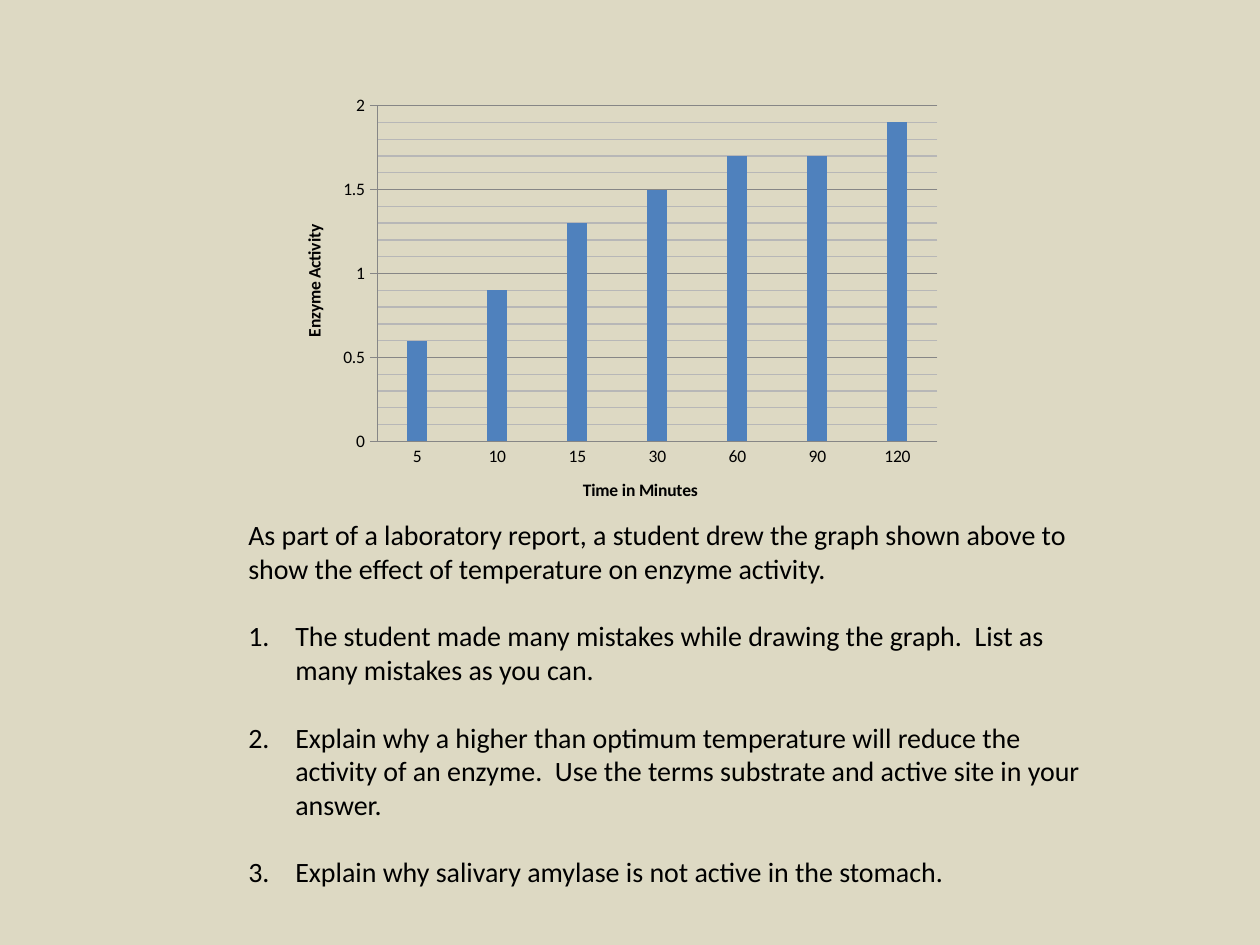
from lxml import etree
from pptx import Presentation
from pptx.chart.data import CategoryChartData
from pptx.dml.color import RGBColor
from pptx.enum.chart import XL_CHART_TYPE, XL_TICK_MARK
from pptx.enum.text import MSO_ANCHOR, MSO_AUTO_SIZE
from pptx.oxml.ns import qn
from pptx.util import Emu, Pt

COLUMNS = XL_CHART_TYPE.COLUMN_CLUSTERED
TICK_NONE, TICK_CROSS = XL_TICK_MARK.NONE, XL_TICK_MARK.CROSS
MIDDLE = MSO_ANCHOR.MIDDLE
GROW = MSO_AUTO_SIZE.SHAPE_TO_FIT_TEXT

FONT = "Calibri"
BACKGROUND, BLACK, BAR = "DDD9C3", "000000", "4F81BD"
AXIS_GREY, MINOR_GREY = "868686", "B7B7B7"

MINUTES = ["5", "10", "15", "30", "60", "90", "120"]
ACTIVITY = [0.6, 0.9, 1.3, 1.5, 1.7, 1.7, 1.9]
INTRO = ("As part of a laboratory report, a student drew the graph shown above "
         "to show the effect of temperature on enzyme activity.")
QUESTIONS = [
    "The student made many mistakes while drawing the graph.  "
    "List as many mistakes as you can.",
    "Explain why a higher than optimum temperature will reduce the activity of "
    "an enzyme.  Use the terms substrate and active site in your answer.",
    "Explain why salivary amylase is not active in the stomach.",
]


def px(n):
    return Emu(round(n * 914400 / 126))


def rgb(value):
    return RGBColor.from_string(value)


def style_font(font, size, bold=False):
    font.name, font.size, font.bold = FONT, Pt(size), bold
    font.color.rgb = rgb(BLACK)


def style_line(line, color):
    line.color.rgb = rgb(color)
    line.width = Pt(0.75)


def style_minor_gridlines(axis, color):
    grid = axis._element.find(qn("c:minorGridlines"))
    spPr = etree.SubElement(grid, qn("c:spPr"))
    ln = etree.SubElement(spPr, qn("a:ln"), w=str(Pt(0.75)))
    fill = etree.SubElement(ln, qn("a:solidFill"))
    etree.SubElement(fill, qn("a:srgbClr"), val=color)


def title_axis(axis, text):
    tf = axis.axis_title.text_frame
    r = tf.paragraphs[0].add_run()
    r.text = text
    style_font(r.font, 10, bold=True)


def place_plot(chart, x, y, w, h):
    """Fix the inner plot area, given as fractions of the chart."""
    area = chart._chartSpace.chart.plotArea
    for old in area.findall(qn("c:layout")):
        area.remove(old)
    layout = etree.Element(qn("c:layout"))
    manual = etree.SubElement(layout, qn("c:manualLayout"))
    settings = [("layoutTarget", "inner"), ("xMode", "edge"), ("yMode", "edge"),
                ("x", x), ("y", y), ("w", w), ("h", h)]
    for tag, value in settings:
        etree.SubElement(manual, qn(f"c:{tag}")).set("val", str(value))
    area.insert(0, layout)


def add_activity_chart(slide, x, y, w, h):
    data = CategoryChartData()
    data.categories = MINUTES
    data.add_series("Series 1", ACTIVITY)
    chart = slide.shapes.add_chart(COLUMNS, px(x), px(y), px(w), px(h), data).chart
    chart.has_legend = False
    chart.has_title = False
    style_font(chart.font, 10)
    place_plot(chart, 0.15, 0.04, 0.83, 0.76)

    plot = chart.plots[0]
    plot.gap_width = 300
    plot.vary_by_categories = False
    fill = plot.series[0].format.fill
    fill.solid()
    fill.fore_color.rgb = rgb(BAR)

    minutes, activity = chart.category_axis, chart.value_axis
    title_axis(minutes, "Time in Minutes")
    title_axis(activity, "Enzyme Activity")
    minutes.major_tick_mark = TICK_NONE
    activity.major_tick_mark = TICK_CROSS
    activity.minimum_scale, activity.maximum_scale = 0, 2
    activity.major_unit, activity.minor_unit = 0.5, 0.1
    activity.has_major_gridlines = activity.has_minor_gridlines = True
    for part in (minutes, activity, activity.major_gridlines):
        style_line(part.format.line, AXIS_GREY)
    style_minor_gridlines(activity, MINOR_GREY)


def number_paragraph(p, indent):
    pPr = p._p.get_or_add_pPr()
    pPr.set("marL", str(indent))
    pPr.set("indent", str(-indent))
    etree.SubElement(pPr, qn("a:buFont")).set("typeface", "+mj-lt")
    etree.SubElement(pPr, qn("a:buAutoNum")).set("type", "arabicPeriod")


def add_questions(slide, x, y, w, h):
    tf = slide.shapes.add_textbox(px(x), px(y), px(w), px(h)).text_frame
    tf.word_wrap = True
    tf.vertical_anchor = MIDDLE
    tf.auto_size = GROW
    for i, text in enumerate([INTRO, *QUESTIONS]):
        p = tf.add_paragraph() if i else tf.paragraphs[0]
        if i:
            number_paragraph(p, px(47))
            p.space_before = Pt(19.5)
        r = p.add_run()
        r.text = text
        style_font(r.font, 16)


def main():
    prs = Presentation()
    prs.slide_width, prs.slide_height = px(1260), px(945)
    slide = prs.slides.add_slide(prs.slide_layouts[6])
    fill = slide.background.fill
    fill.solid()
    fill.fore_color.rgb = rgb(BACKGROUND)
    add_activity_chart(slide, 276, 88, 675, 442)
    add_questions(slide, 236, 510, 857, 386)
    prs.save("out.pptx")


if __name__ == "__main__":
    main()
